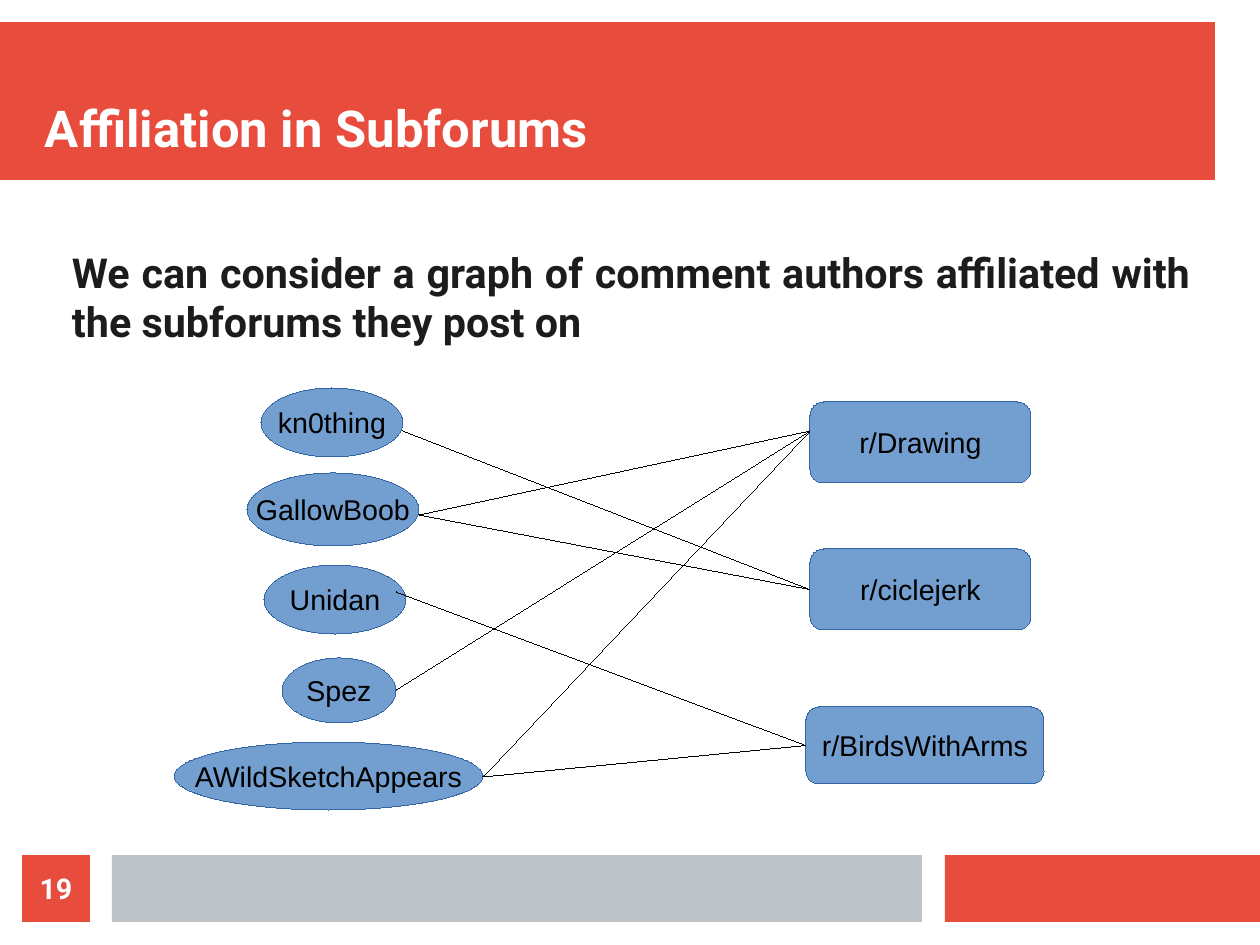
"""Build a slide showing comment authors linked to the subforums they post on."""
from lxml.etree import SubElement
from pptx import Presentation
from pptx.dml.color import RGBColor
from pptx.enum.shapes import MSO_CONNECTOR, MSO_SHAPE
from pptx.enum.text import MSO_ANCHOR, PP_ALIGN
from pptx.oxml.ns import qn
from pptx.util import Pt

PX = 8000
HAIRLINE = Pt(0.01)
RED = RGBColor(0xE7, 0x4C, 0x3C)
GREY = RGBColor(0xBD, 0xC3, 0xC7)
BLUE = RGBColor(0x72, 0x9F, 0xCF)
DARK_BLUE = RGBColor(0x34, 0x65, 0xA4)
INK = RGBColor(0x1C, 0x1C, 0x1C)
BLACK = RGBColor(0, 0, 0)
WHITE = RGBColor(0xFF, 0xFF, 0xFF)

deck = Presentation()
deck.slide_width, deck.slide_height = 1260 * PX, 945 * PX
slide = deck.slides.add_slide(deck.slide_layouts[6])


def add_box(preset, bounds, fill, outline=None):
    box = slide.shapes.add_shape(preset, *(length * PX for length in bounds))
    box.shadow.inherit = False
    box.fill.solid()
    box.fill.fore_color.rgb = fill
    if outline is None:
        box.line.fill.background()
    else:
        box.line.color.rgb = outline
        box.line.width = HAIRLINE
    return box


def write(holder, words, size, font, color, align, anchor, inset=(0, 0), wrap=True):
    frame = holder.text_frame
    frame.word_wrap = wrap
    frame.vertical_anchor = anchor
    frame.margin_left = frame.margin_right = inset[0] * PX
    frame.margin_top = frame.margin_bottom = inset[1] * PX
    paragraph = frame.paragraphs[0]
    paragraph.alignment = align
    run = paragraph.add_run()
    run.text = words
    run.font.size = Pt(size)
    run.font.name = font
    run.font.bold = font == "Roboto"
    run.font.color.rgb = color


for bounds, fill in [
    ((0, 22, 1215, 158), RED),
    ((945, 855, 315, 67), RED),
    ((112, 855, 810, 67), GREY),
]:
    add_box(MSO_SHAPE.RECTANGLE, bounds, fill)

title = slide.shapes.add_textbox(45 * PX, 45 * PX, 1170 * PX, 113 * PX)
write(title, "Affiliation in Subforums", 32, "Roboto", WHITE, PP_ALIGN.LEFT, MSO_ANCHOR.BOTTOM)
statement = slide.shapes.add_textbox(72 * PX, 247 * PX, 1120 * PX, 112 * PX)
write(
    statement,
    "We can consider a graph of comment authors affiliated with the subforums they post on",
    26, "Roboto", INK, PP_ALIGN.JUSTIFY, MSO_ANCHOR.TOP,
)

authors = {
    "kn0thing": (261, 388, 142, 69),
    "Unidan": (264, 565, 142, 69),
    "Spez": (282, 658, 114, 65),
    "GallowBoob": (247, 473, 172, 73),
    "AWildSketchAppears": (174, 742, 309, 68),
}
forums = {
    "r/Drawing": (810, 402, 221, 81),
    "r/ciclejerk": (810, 549, 221, 81),
    "r/BirdsWithArms": (806, 707, 238, 77),
}
nodes = {}
for preset, group in [(MSO_SHAPE.OVAL, authors), (MSO_SHAPE.ROUNDED_RECTANGLE, forums)]:
    for name, bounds in group.items():
        nodes[name] = add_box(preset, bounds, BLUE, DARK_BLUE)
        write(nodes[name], name, 18, "Arial", BLACK, PP_ALIGN.CENTER, MSO_ANCHOR.MIDDLE, (11, 6), False)

author_ends = {
    "kn0thing": (403, 431),
    "GallowBoob": (419, 515),
    "Unidan": (396, 592),
    "Spez": (396, 690),
    "AWildSketchAppears": (483, 777),
}
forum_ends = {"r/Drawing": (810, 431), "r/ciclejerk": (810, 591), "r/BirdsWithArms": (806, 744)}
for author, forum in [
    ("Unidan", "r/BirdsWithArms"),
    ("AWildSketchAppears", "r/Drawing"),
    ("GallowBoob", "r/ciclejerk"),
    ("kn0thing", "r/ciclejerk"),
    ("Spez", "r/Drawing"),
    ("AWildSketchAppears", "r/BirdsWithArms"),
    ("GallowBoob", "r/Drawing"),
]:
    ends = author_ends[author] + forum_ends[forum]
    affiliation = slide.shapes.add_connector(MSO_CONNECTOR.STRAIGHT, *(length * PX for length in ends))
    if forum != "r/Drawing":
        affiliation.end_connect(nodes[forum], 1)
    affiliation.line.color.rgb = BLACK
    affiliation.line.width = HAIRLINE
    SubElement(affiliation._element.spPr, qn("a:effectLst"))

page_number = add_box(MSO_SHAPE.RECTANGLE, (22, 855, 68, 67), RED)
write(page_number, "19", 18, "Roboto", WHITE, PP_ALIGN.CENTER, MSO_ANCHOR.MIDDLE)

deck.save("out.pptx")
